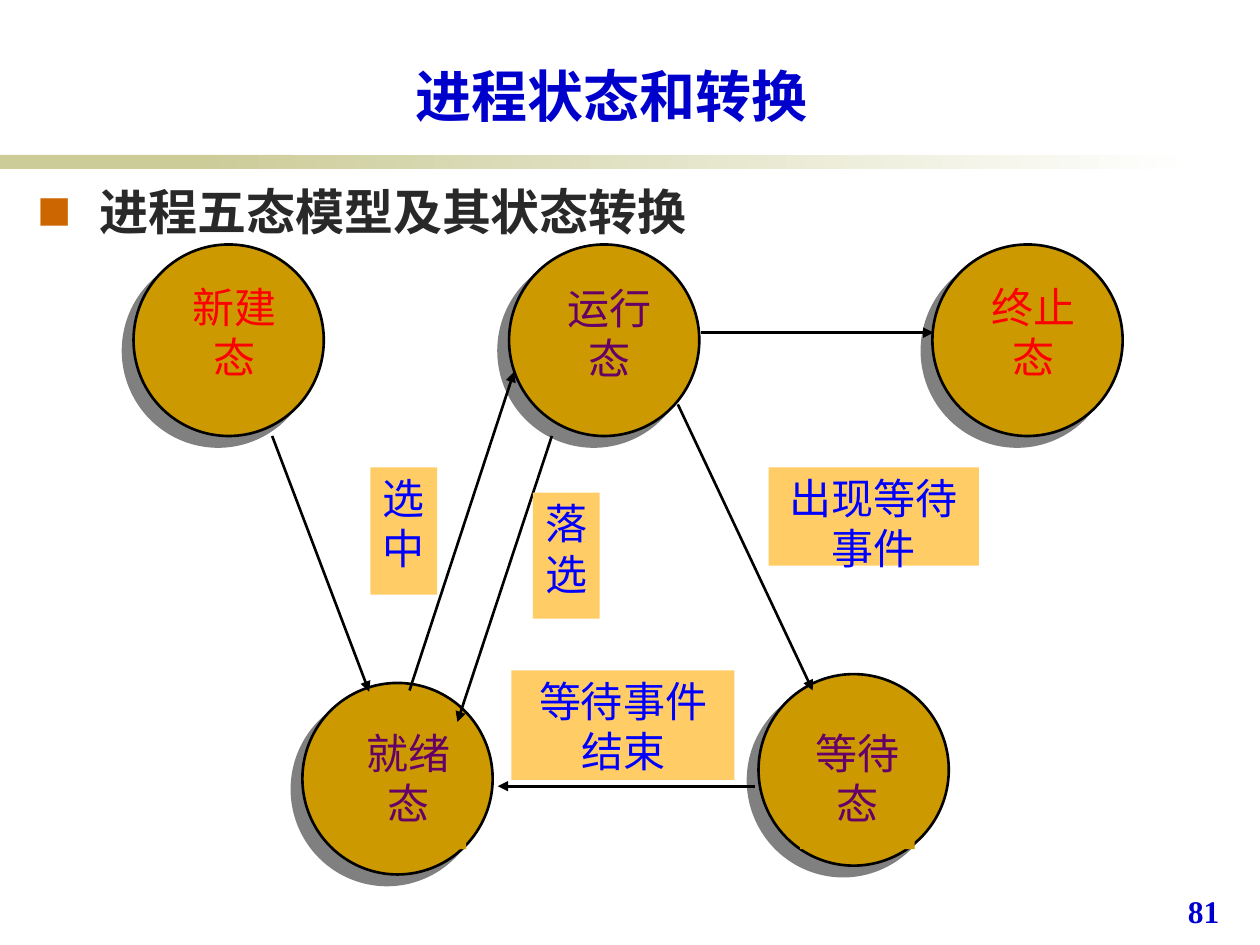
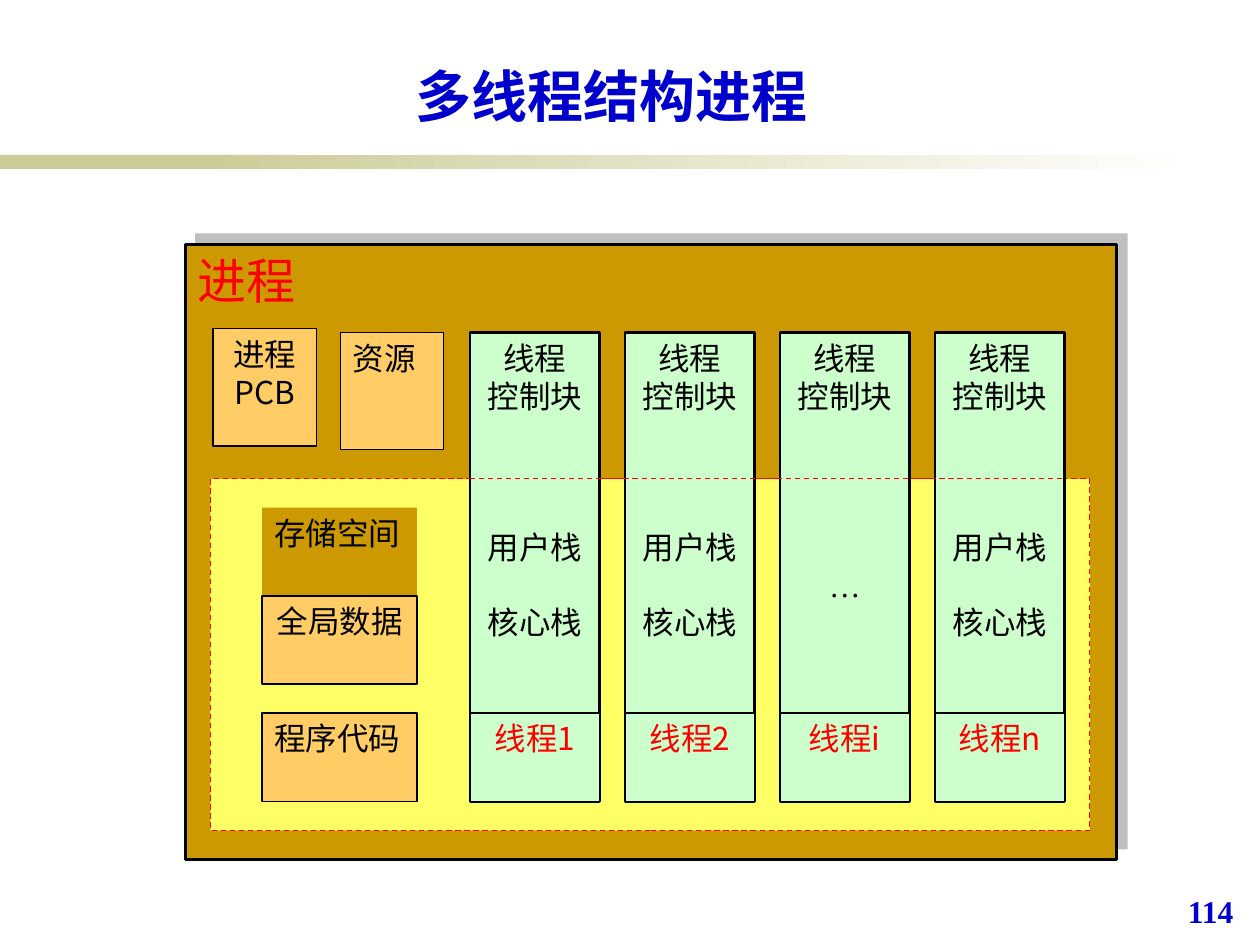
import dataclasses
import typing

import pptx
import pptx.dml.color
import pptx.enum.dml
import pptx.enum.shapes
import pptx.enum.text
import pptx.oxml
import pptx.oxml.ns
import pptx.util

SCALE = 9144  # EMU in one px, 100 px to the inch
SANS, SERIF = "Noto Sans CJK JP", "Times New Roman"
COLORS = {
    "band": "CCCC99", "white": "FFFFFF", "title": "0000CC", "body": "292929",
    "bullet": "CC6600", "gold": "CC9900", "sand": "FFCC66", "mint": "CCFFCC",
    "yellow": "FFFF66", "black": "000000", "red": "FF0000", "blue": "0000FF",
    "plum": "660066", "gray": "808080",
}
KIND = pptx.enum.shapes.MSO_SHAPE
ALIGN = pptx.enum.text.PP_ALIGN
ANCHOR = pptx.enum.text.MSO_ANCHOR


@dataclasses.dataclass
class Font:
    size: int
    color: str
    bold: bool = False
    name: str = SANS


@dataclasses.dataclass
class Box:
    x: int
    y: int
    w: int
    h: int
    fill: str
    line: str = ""
    width: float = 0.75
    dash: bool = False
    kind: typing.Any = KIND.RECTANGLE


@dataclasses.dataclass
class Arrow:
    x1: int
    y1: int
    x2: int
    y2: int


@dataclasses.dataclass
class State:
    name: str
    x: int
    y: int
    tag_x: int
    tag_y: int
    color: str = "plum"


@dataclasses.dataclass
class Note:
    text: str
    x: int
    y: int
    w: int
    h: int


LABEL = Font(24, "plum")
SMALL = Font(18, "black")


# Basic helpers
def px(n: float) -> int:
    return round(n * SCALE)


def rgb(name: str) -> pptx.dml.color.RGBColor:
    return pptx.dml.color.RGBColor.from_string(COLORS[name])


def xml(text: str) -> typing.Any:
    return pptx.oxml.parse_xml(text.replace(">", f" {pptx.oxml.ns.nsdecls('a')}>", 1)
                               if "/>" not in text.split(">", 1)[0] + ">"
                               else text.replace("/>", f" {pptx.oxml.ns.nsdecls('a')}/>", 1))


def move(shape: typing.Any, x: int, y: int, w: int, h: int) -> None:
    shape.left, shape.top, shape.width, shape.height = map(px, (x, y, w, h))


def style(part: typing.Any, font: Font) -> None:
    for run in part.runs:
        run.font.size = pptx.util.Pt(font.size)
        run.font.bold = font.bold
        run.font.color.rgb = rgb(font.color)
        run.font.name = font.name
        run._r.get_or_add_rPr().append(xml(f'<a:ea typeface="{font.name}"/>'))


def write(shape: typing.Any, text: str, font: Font,
          align: typing.Any = ALIGN.CENTER, anchor: typing.Any = ANCHOR.TOP,
          inset: typing.Sequence[int] = (10, 5, 10, 5)) -> typing.Any:
    frame = shape.text_frame
    frame.text = text
    frame.word_wrap = True
    frame.auto_size = pptx.enum.text.MSO_AUTO_SIZE.NONE
    frame.vertical_anchor = anchor
    (frame.margin_left, frame.margin_top,
     frame.margin_right, frame.margin_bottom) = map(px, inset)
    for part in frame.paragraphs:
        part.alignment = align
        style(part, font)
    return frame


def stroke(line: typing.Any, color: str, width: float, dash: bool) -> None:
    line.color.rgb = rgb(color)
    line.width = pptx.util.Pt(width)
    if dash:
        line.dash_style = pptx.enum.dml.MSO_LINE.DASH


def draw(slide: typing.Any, box: Box) -> typing.Any:
    shape = slide.shapes.add_shape(box.kind, *map(px, (box.x, box.y, box.w, box.h)))
    shape.shadow.inherit = False
    shape.fill.solid()
    shape.fill.fore_color.rgb = rgb(box.fill)
    if box.line:
        stroke(shape.line, box.line, box.width, box.dash)
    else:
        shape.line.fill.background()
    return shape


def shade(shape: typing.Any, angle: int, alpha: int) -> None:
    effect = shape._element.spPr.find(pptx.oxml.ns.qn("a:effectLst"))
    effect.append(xml(
        f'<a:outerShdw dist="107950" dir="{angle * 60000}" algn="ctr" rotWithShape="0">'
        f'<a:srgbClr val="{COLORS["gray"]}"><a:alpha val="{alpha * 1000}"/></a:srgbClr>'
        '</a:outerShdw>'))


def link(slide: typing.Any, way: Arrow, color: str = "black", width: float = 1.5,
         dash: bool = False, head: bool = True) -> None:
    line = slide.shapes.add_connector(
        pptx.enum.shapes.MSO_CONNECTOR.STRAIGHT,
        *map(px, (way.x1, way.y1, way.x2, way.y2)))
    stroke(line.line, color, width, dash)
    if head:
        line.line._get_or_add_ln().append(xml('<a:tailEnd type="triangle"/>'))
    line._element.spPr.append(xml("<a:effectLst/>"))


# Shared frame: bands, title and page number
def start(deck: typing.Any, layout: int, title: str, page: str) -> typing.Any:
    slide = deck.slides.add_slide(deck.slide_layouts[layout])
    draw(slide, Box(0, 123, 233, 11, "band"))
    fade = draw(slide, Box(158, 123, 792, 11, "band"))
    fade.fill.gradient()
    fade.fill.gradient_angle = 0
    for stop, name in zip(fade.fill.gradient_stops, ("band", "white")):
        stop.color.rgb = rgb(name)
    head = slide.shapes.title
    move(head, 83, 44, 805, 63)
    write(head, title, Font(32, "title", True), anchor=ANCHOR.BOTTOM)
    foot = slide.shapes.add_textbox(*map(px, (933, 703, 64, 50)))
    write(foot, page, Font(18, "title", True, SERIF), ALIGN.LEFT)
    return slide


# Slide 1: five-state model
STATES = [
    State("运行态", 404, 194, 438, 220),
    State("就绪态", 240, 542, 279, 573),
    State("等待态", 602, 535, 635, 573),
    State("新建态", 106, 194, 141, 219, "red"),
    State("终止态", 740, 194, 775, 219, "red"),
]
MOVES = [
    Arrow(325, 548, 408, 295), Arrow(438, 346, 363, 573),
    Arrow(538, 321, 645, 548), Arrow(599, 624, 395, 624),
    Arrow(216, 346, 293, 549), Arrow(556, 264, 741, 264),
]
NOTES = [
    Note("选中", 294, 371, 53, 101), Note("落选", 423, 391, 53, 100),
    Note("出现等待\n事件", 610, 371, 167, 78),
    Note("等待事件\n结束", 406, 532, 177, 87),
]


def states(deck: typing.Any) -> None:
    slide = start(deck, 1, "进程状态和转换", "81")
    body = slide.placeholders[1]
    move(body, 20, 139, 969, 543)
    frame = write(body, "进程五态模型及其状态转换", Font(28, "body", True), ALIGN.LEFT)
    item = frame.paragraphs[0]
    item.space_before = pptx.util.Pt(3)
    props = item._p.get_or_add_pPr()
    props.set("marL", str(px(49)))
    props.set("indent", str(px(-49)))
    for mark in (f'<a:buClr><a:srgbClr val="{COLORS["bullet"]}"/></a:buClr>',
                 '<a:buSzPct val="70000"/>', f'<a:buFont typeface="{SANS}"/>',
                 '<a:buChar char="■"/>'):
        props.append(xml(mark))

    for state in STATES:
        disc = draw(slide, Box(state.x, state.y, 151, 152, "gold", "black", 1.5,
                               kind=KIND.OVAL))
        shade(disc, 135, 100)
    for way in MOVES:
        link(slide, way)
    for state in STATES:
        tag = draw(slide, Box(state.tag_x, state.tag_y, 91, 101, "gold"))
        write(tag, state.name, Font(24, state.color), inset=(0, 4, 0, 0))
    for note in NOTES:
        tag = draw(slide, Box(note.x, note.y, note.w, note.h, "sand"))
        write(tag, note.text, Font(24, "blue"), inset=(0, 4, 0, 0))


# Slide 2: process with several threads
PARTS = [
    ("进程PCB", Box(169, 261, 82, 93, "sand", "black"), ALIGN.CENTER),
    ("资源", Box(270, 264, 82, 93, "sand", "black"), ALIGN.JUSTIFY),
    ("存储空间", Box(208, 403, 123, 70, "gold"), ALIGN.JUSTIFY),
    ("全局数据", Box(208, 473, 123, 70, "sand", "black"), ALIGN.CENTER),
    ("程序代码", Box(208, 566, 123, 70, "sand", "black"), ALIGN.JUSTIFY),
]
ROW = 21.6  # height of a text row in points


def thread(slide: typing.Any, x: int, name: str) -> None:
    pile = draw(slide, Box(x, 264, 103, 372, "mint", "black", 1.5))
    gap = name == "i"
    rows = ["线程", "控制块"] + (["…"] if gap else ["用户栈", "核心栈"])
    parts = write(pile, "\n".join(rows), SMALL).paragraphs
    parts[2].space_before = pptx.util.Pt(ROW * (4 if gap else 3))
    if gap:
        style(parts[2], Font(18, "black", name=SERIF))
    else:
        parts[3].space_before = pptx.util.Pt(ROW)
    foot = draw(slide, Box(x, 566, 103, 70, "mint", "black"))
    write(foot, f"线程{name}", Font(18, "red"))


def threads(deck: typing.Any) -> None:
    slide = start(deck, 5, "多线程结构进程", "114")
    shade(draw(slide, Box(147, 194, 739, 488, "gold", "black")), 315, 50)
    frame = draw(slide, Box(147, 194, 739, 488, "gold", "black", 1.5))
    write(frame, "进程", Font(28, "red"), ALIGN.JUSTIFY)
    link(slide, Arrow(373, 194, 824, 194), head=False)
    draw(slide, Box(167, 380, 698, 279, "yellow", "red", dash=True))
    for text, box, align in PARTS:
        write(draw(slide, box), text, SMALL, align)
    for i, name in enumerate("12in"):
        thread(slide, 373 + 123 * i, name)
    link(slide, Arrow(373, 380, 845, 380), "red", 0.75, True, False)


def main() -> None:
    deck = pptx.Presentation()
    deck.slide_width, deck.slide_height = px(1000), px(750)
    states(deck)
    threads(deck)
    deck.save("out.pptx")


if __name__ == "__main__":
    main()
